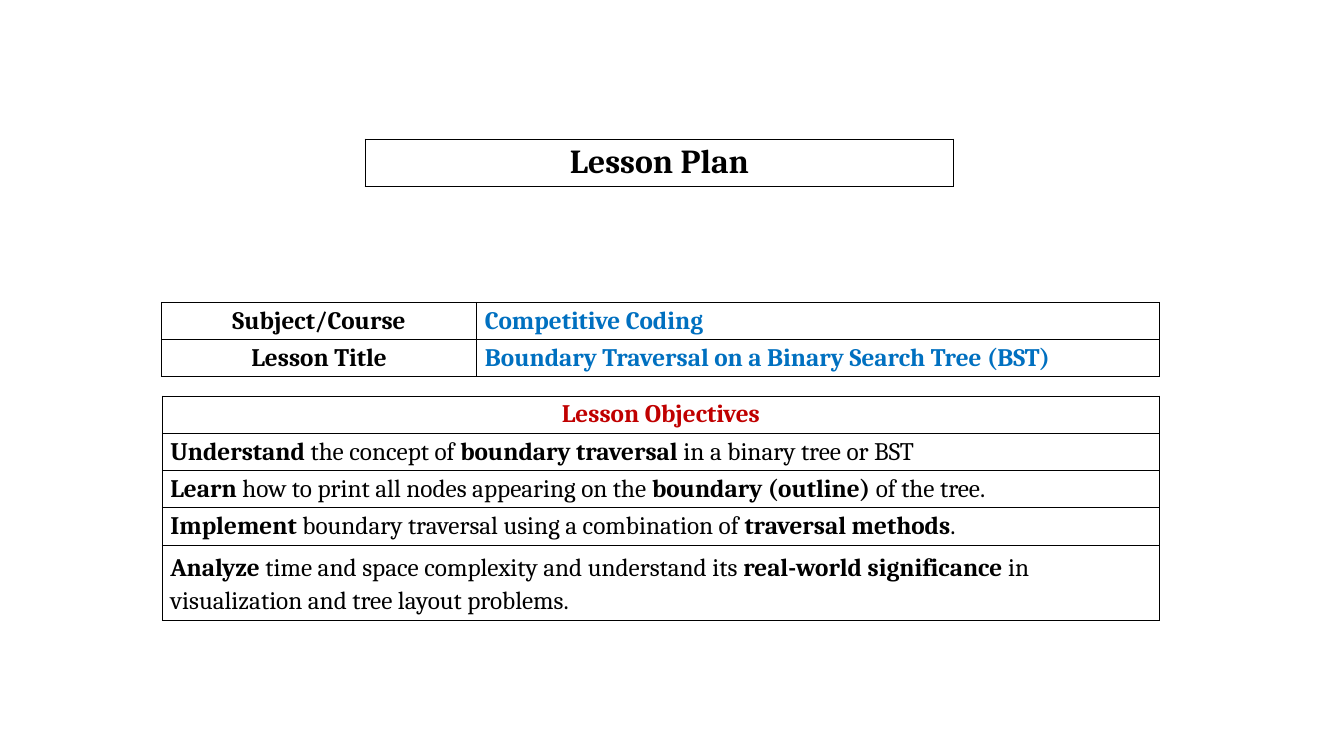
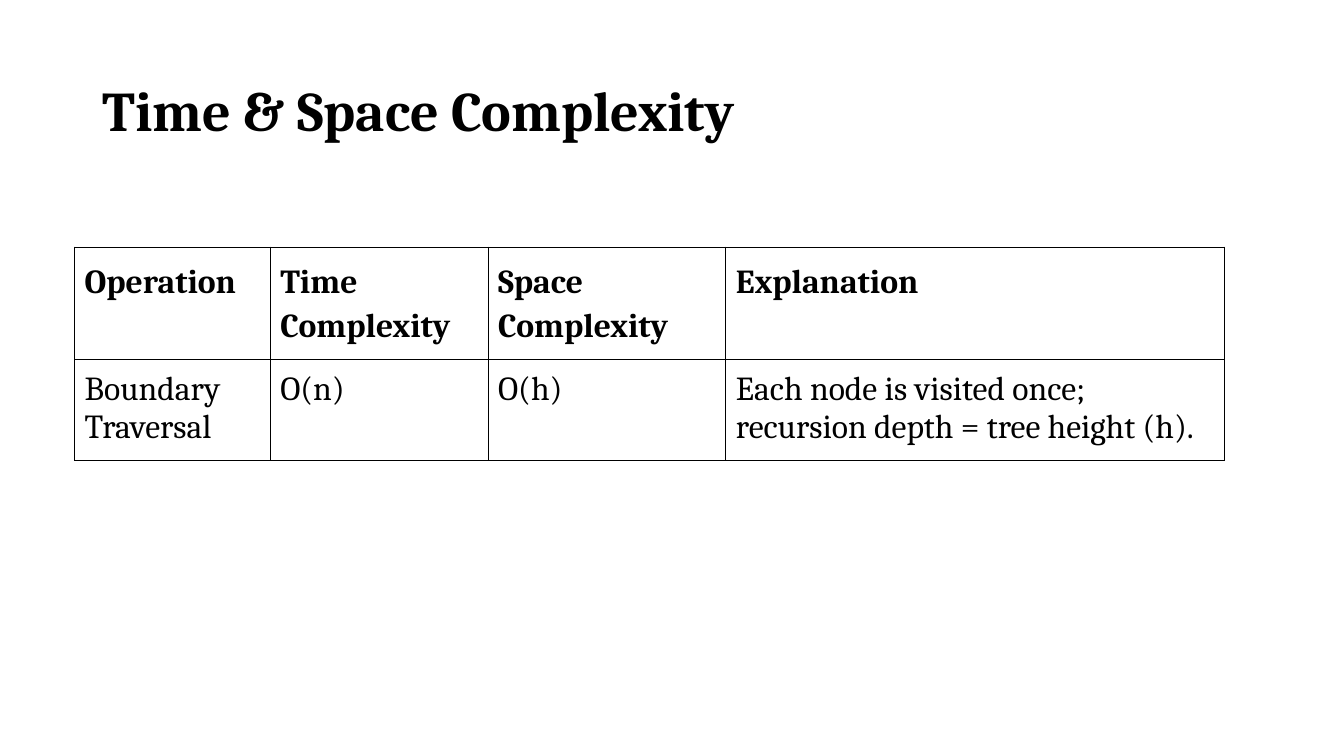
from pptx import Presentation
from pptx import util as u
from pptx.dml import color
from pptx.enum import text
from pptx.oxml import ns
from lxml import etree

BLACK, WHITE, BLUE, RED = "000000", "FFFFFF", "0070C0", "C00000"
CENTER, LEFT = text.PP_ALIGN.CENTER, text.PP_ALIGN.LEFT
TOP, MIDDLE = text.MSO_ANCHOR.TOP, text.MSO_ANCHOR.MIDDLE


def rgb(value):
    return color.RGBColor.from_string(value)


class LessonDeck:
    font = "Cambria"
    border_width = 0.75

    def __init__(self):
        self.deck = Presentation()
        self.deck.slide_width = u.Inches(13.33)
        self.deck.slide_height = u.Inches(7.5)
        self.page = None

    def new_page(self):
        self.page = self.deck.slides.add_slide(self.deck.slide_layouts[6])

    def set_text(self, frame, content, size, ink=BLACK, align=LEFT, spacing=None):
        para = frame.paragraphs[0]
        para.alignment = align
        if spacing:
            para.line_spacing = spacing
        for index, piece in enumerate(content.split("**")):
            if piece:
                span = para.add_run()
                span.text = piece
                span.font.name = self.font
                span.font.size = u.Pt(size)
                span.font.bold = index % 2 == 1
                span.font.color.rgb = rgb(ink)

    def title(self, content):
        box = self.page.shapes.add_textbox(
            u.Inches(0.92), u.Inches(0.4), u.Inches(11.5), u.Inches(1.45))
        frame = box.text_frame
        frame.word_wrap = True
        frame.vertical_anchor = MIDDLE
        self.set_text(frame, f"**{content}**", 40, spacing=0.9)

    def border(self, cell):
        properties = cell._tc.get_or_add_tcPr()
        for side in ("lnL", "lnR", "lnT", "lnB"):
            line = etree.SubElement(properties, ns.qn(f"a:{side}"),
                                    w=str(u.Pt(self.border_width)))
            fill = etree.SubElement(line, ns.qn("a:solidFill"))
            etree.SubElement(fill, ns.qn("a:srgbClr"), val=BLACK)

    def table(self, left, top, widths, heights, rows, size,
              margins=(0.08, 0.04), anchor=MIDDLE):
        table = self.page.shapes.add_table(
            len(heights), len(widths), u.Inches(left), u.Inches(top),
            u.Inches(sum(widths)), u.Inches(sum(heights))).table
        table.first_row = table.horz_banding = False
        for column, width in zip(table.columns, widths):
            column.width = u.Inches(width)
        for row, height, entries in zip(table.rows, heights, rows):
            row.height = u.Inches(height)
            for cell, (content, style) in zip(row.cells, entries):
                cell.margin_left = cell.margin_right = u.Inches(margins[0])
                cell.margin_top = cell.margin_bottom = u.Inches(margins[1])
                cell.vertical_anchor = anchor
                self.border(cell)
                cell.fill.solid()
                cell.fill.fore_color.rgb = rgb(WHITE)
                self.set_text(cell.text_frame, content, size, **style)


def lesson_plan(lesson):
    lesson.new_page()
    label, value = {"align": CENTER}, {"ink": BLUE}
    lesson.table(3.62, 1.38, [5.84], [0.47], [[("**Lesson Plan**", label)]], 24)
    lesson.table(1.6, 3, [3.13, 6.77], [0.37] * 2, [
        [("**Subject/Course**", label), ("**Competitive Coding**", value)],
        [("**Lesson Title**", label),
         ("**Boundary Traversal on a Binary Search Tree (BST)**", value)],
    ], 18)
    lesson.table(1.61, 3.93, [9.89], [0.37] * 4 + [0.74], [
        [("**Lesson Objectives**", {"ink": RED, "align": CENTER})],
        [("**Understand** the concept of **boundary traversal** in a binary tree or BST", {})],
        [("**Learn** how to print all nodes appearing on the **boundary (outline)** of the tree.", {})],
        [("**Implement** boundary traversal using a combination of **traversal methods**.", {})],
        [("**Analyze** time and space complexity and understand its **real-world significance** "
          "in visualization and tree layout problems.", {"spacing": 1.15})],
    ], 18)


def complexity(lesson):
    lesson.new_page()
    lesson.title("Time & Space Complexity")
    headings = ["Operation", "Time Complexity", "Space Complexity", "Explanation"]
    values = ["Boundary Traversal", "O(n)", "O(h)",
              "Each node is visited once; recursion depth = tree height (h)."]
    lesson.table(0.74, 2.45, [1.94, 2.16, 2.36, 4.94], [1.08, 0.96], [
        [(f"**{heading}**", {"spacing": 1.15}) for heading in headings],
        [(value, {}) for value in values],
    ], 24, margins=(0.1, 0.1), anchor=TOP)


def main():
    lesson = LessonDeck()
    lesson_plan(lesson)
    complexity(lesson)
    lesson.deck.save("out.pptx")


if __name__ == "__main__":
    main()
